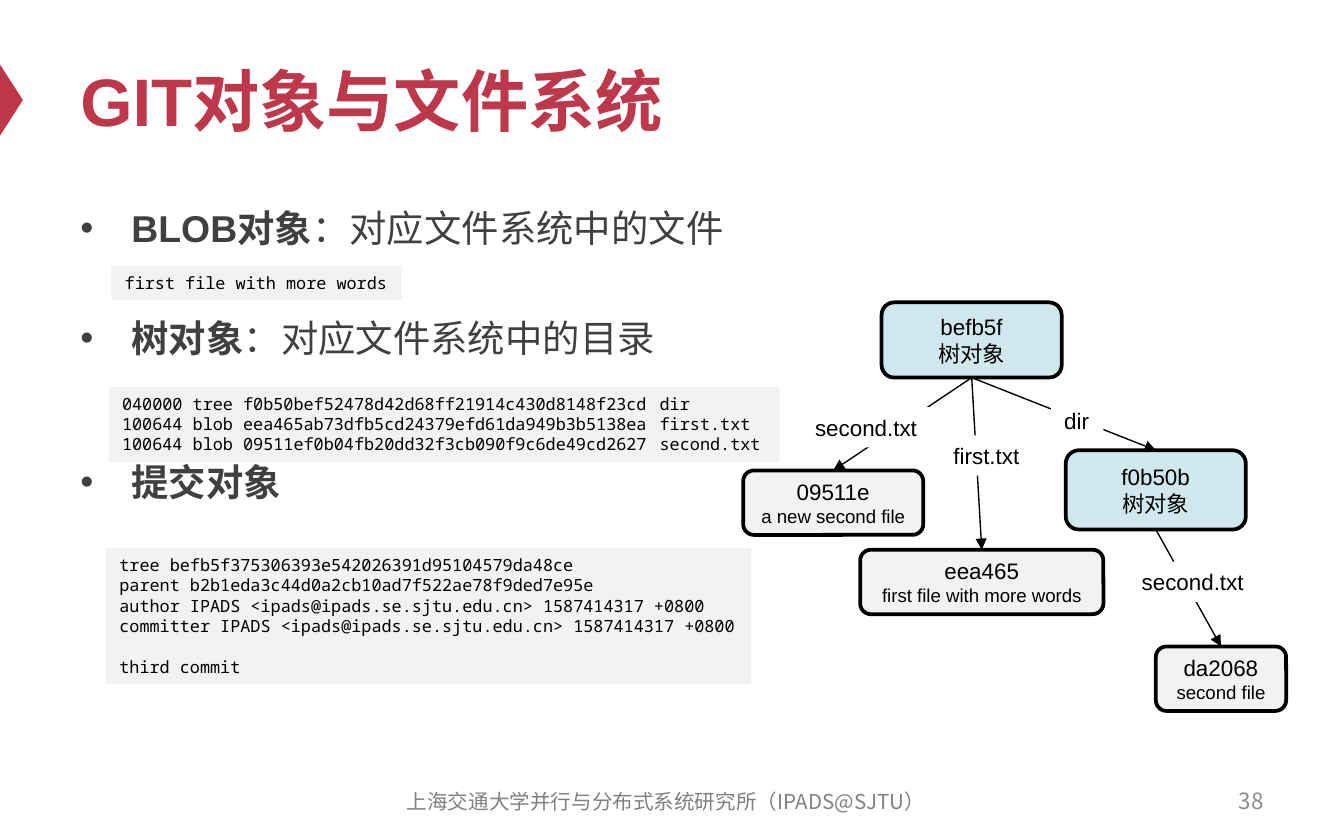
"""Build the slide on Git objects and the file system."""
from dataclasses import dataclass

from lxml import etree
from pptx import Presentation
from pptx import util as u
from pptx.dml.color import RGBColor
from pptx.enum import shapes, text
from pptx.oxml.ns import qn

SCALE = 9144
COLORS = {
    "accent": "BE384B", "body": "404040", "footer": "808080", "number": "8C8C8C",
    "black": "000000", "white": "FFFFFF", "grey": "F2F2F2", "tree": "D0E7EE",
}
SANS, MONO, CJK = "Arial", "Noto Sans Mono", "Noto Sans CJK SC"
LEFT, CENTER, RIGHT = text.PP_ALIGN.LEFT, text.PP_ALIGN.CENTER, text.PP_ALIGN.RIGHT
BULLET_INDENT = 38


@dataclass(frozen=True)
class Box:
    left: int
    top: int
    width: int
    height: int

    def emu(self) -> list[int]:
        return [px(v) for v in (self.left, self.top, self.width, self.height)]


@dataclass(frozen=True)
class Line:
    content: str
    size: int
    font: str = SANS
    color: str = "black"
    bold: bool = False
    align: text.PP_ALIGN = LEFT
    before: int = 0


@dataclass(frozen=True)
class Bullet:
    term: str
    detail: str
    before: int


@dataclass(frozen=True)
class Node:
    name: str
    caption: str
    box: Box
    is_tree: bool = False


@dataclass(frozen=True)
class Link:
    parent: str
    child: str
    label: str
    box: Box
    align: text.PP_ALIGN = CENTER


@dataclass(frozen=True)
class Code:
    box: Box
    lines: tuple[Line, ...]


def mono(content: str, before: int = 0) -> Line:
    return Line(content, 9, MONO, before=before)


BULLETS = (
    Bullet("BLOB对象", "：对应文件系统中的文件", 0),
    Bullet("树对象", "：对应文件系统中的目录", 35),
    Bullet("提交对象", "", 53),
)
CODES = (
    Code(Box(81, 288, 499, 56), (
        mono("040000 tree f0b50bef52478d42d68ff21914c430d8148f23cd\tdir"),
        mono("100644 blob eea465ab73dfb5cd24379efd61da949b3b5138ea\tfirst.txt"),
        mono("100644 blob 09511ef0b04fb20dd32f3cb090f9c6de49cd2627\tsecond.txt"),
    )),
    Code(Box(83, 198, 216, 25), (mono("first file with more words"),)),
    Code(Box(79, 408, 480, 101), (
        mono("tree befb5f375306393e542026391d95104579da48ce"),
        mono("parent b2b1eda3c44d0a2cb10ad7f522ae78f9ded7e95e"),
        mono("author IPADS <ipads@ipads.se.sjtu.edu.cn> 1587414317 +0800"),
        mono("committer IPADS <ipads@ipads.se.sjtu.edu.cn> 1587414317 +0800"),
        mono("third commit", before=11),
    )),
)
NODES = (
    Node("f0b50b", "树对象", Box(793, 335, 134, 59), True),
    Node("befb5f", "树对象", Box(656, 225, 134, 56), True),
    Node("eea465", "first file with more words", Box(640, 409, 181, 48)),
    Node("09511e", "a new second file", Box(553, 350, 134, 48)),
    Node("da2068", "second file", Box(860, 481, 97, 48)),
)
LINKS = (
    Link("befb5f", "f0b50b", "dir", Box(782, 298, 39, 30), LEFT),
    Link("befb5f", "eea465", "first.txt", Box(699, 324, 70, 30)),
    Link("befb5f", "09511e", "second.txt", Box(596, 303, 97, 30)),
    Link("f0b50b", "da2068", "second.txt", Box(839, 418, 97, 30)),
)


def px(value: int) -> int:
    return value * SCALE


def rgb(name: str) -> RGBColor:
    return RGBColor.from_string(COLORS[name])


def style(paragraph, line: Line) -> None:
    paragraph.alignment = line.align
    if line.before:
        paragraph.space_before = u.Pt(line.before)
    font = paragraph.font
    font.name, font.size, font.bold = line.font, u.Pt(line.size), line.bold
    font.color.rgb = rgb(line.color)


def next_paragraph(frame, index: int):
    return frame.add_paragraph() if index else frame.paragraphs[0]


def write(frame, lines: tuple[Line, ...], anchor, wrap: bool = True) -> None:
    frame.word_wrap, frame.vertical_anchor = wrap, anchor
    for index, line in enumerate(lines):
        paragraph = next_paragraph(frame, index)
        paragraph.add_run().text = line.content
        style(paragraph, line)


def add_text(slide, box: Box, line: Line) -> None:
    frame = slide.shapes.add_textbox(*box.emu()).text_frame
    write(frame, (line,), text.MSO_ANCHOR.MIDDLE)


def add_filled(slide, kind, box: Box, color: str):
    shape = slide.shapes.add_shape(kind, *box.emu())
    shape.shadow.inherit = False
    shape.fill.solid()
    shape.fill.fore_color.rgb = rgb(color)
    shape.line.fill.background()
    return shape


def add_panel(slide, box: Box, color: str, lines: tuple[Line, ...]) -> None:
    shape = add_filled(slide, shapes.MSO_SHAPE.RECTANGLE, box, color)
    write(shape.text_frame, lines, text.MSO_ANCHOR.TOP, wrap=False)
    shape.text_frame.auto_size = text.MSO_AUTO_SIZE.SHAPE_TO_FIT_TEXT


def add_bullets(slide, box: Box) -> None:
    frame = slide.shapes.add_textbox(*box.emu()).text_frame
    frame.word_wrap = True
    for index, bullet in enumerate(BULLETS):
        paragraph = next_paragraph(frame, index)
        properties = paragraph._p.get_or_add_pPr()
        properties.set("marL", str(px(BULLET_INDENT)))
        properties.set("indent", str(-px(BULLET_INDENT)))
        etree.SubElement(properties, qn("a:buFont")).set("typeface", SANS)
        etree.SubElement(properties, qn("a:buChar")).set("char", "•")
        style(paragraph, Line("", 20, color="body", before=bullet.before))
        for content, bold in ((bullet.term, True), (bullet.detail, False)):
            if content:
                run = paragraph.add_run()
                run.text, run.font.bold = content, bold


def add_node(slide, node: Node):
    color = "tree" if node.is_tree else "grey"
    shape = add_filled(slide, shapes.MSO_SHAPE.ROUNDED_RECTANGLE, node.box, color)
    shape.line.color.rgb, shape.line.width = rgb("black"), u.Pt(2)
    lines = (Line(node.name, 12, align=CENTER),
             Line(node.caption, 12 if node.is_tree else 10, align=CENTER))
    write(shape.text_frame, lines, text.MSO_ANCHOR.MIDDLE)
    return shape


def add_link(slide, parent, child) -> None:
    connector = slide.shapes.add_connector(shapes.MSO_CONNECTOR.STRAIGHT, 0, 0, 0, 0)
    connector.begin_connect(parent, 2)
    connector.end_connect(child, 0)
    connector.line.color.rgb, connector.line.width = rgb("black"), u.Pt(0.75)
    etree.SubElement(connector.line._get_or_add_ln(), qn("a:tailEnd")).set("type", "triangle")
    etree.SubElement(connector._element.spPr, qn("a:effectLst"))


def main() -> None:
    presentation = Presentation()
    presentation.slide_width, presentation.slide_height = px(1000), px(625)
    slide = presentation.slides.add_slide(presentation.slide_layouts[6])

    marker = Box(-18, 66, 53, 17)
    add_filled(slide, shapes.MSO_SHAPE.ISOSCELES_TRIANGLE, marker, "accent").rotation = 90
    add_text(slide, Box(50, 25, 900, 98),
             Line("GIT对象与文件系统", 36, color="accent", bold=True))
    add_bullets(slide, Box(50, 148, 900, 410))
    add_text(slide, Box(717, 579, 233, 33), Line("38", 12, CJK, "number", align=RIGHT))
    add_text(slide, Box(279, 580, 433, 33),
             Line("上海交通大学并行与分布式系统研究所（IPADS@SJTU）", 11, CJK, "footer", align=CENTER))

    for code in CODES:
        add_panel(slide, code.box, "grey", code.lines)
    nodes = {node.name: add_node(slide, node) for node in NODES}
    for link in LINKS:
        add_link(slide, nodes[link.parent], nodes[link.child])
    for link in LINKS:
        add_panel(slide, link.box, "white", (Line(link.label, 12, align=link.align),))
    presentation.save("out.pptx")


if __name__ == "__main__":
    main()
